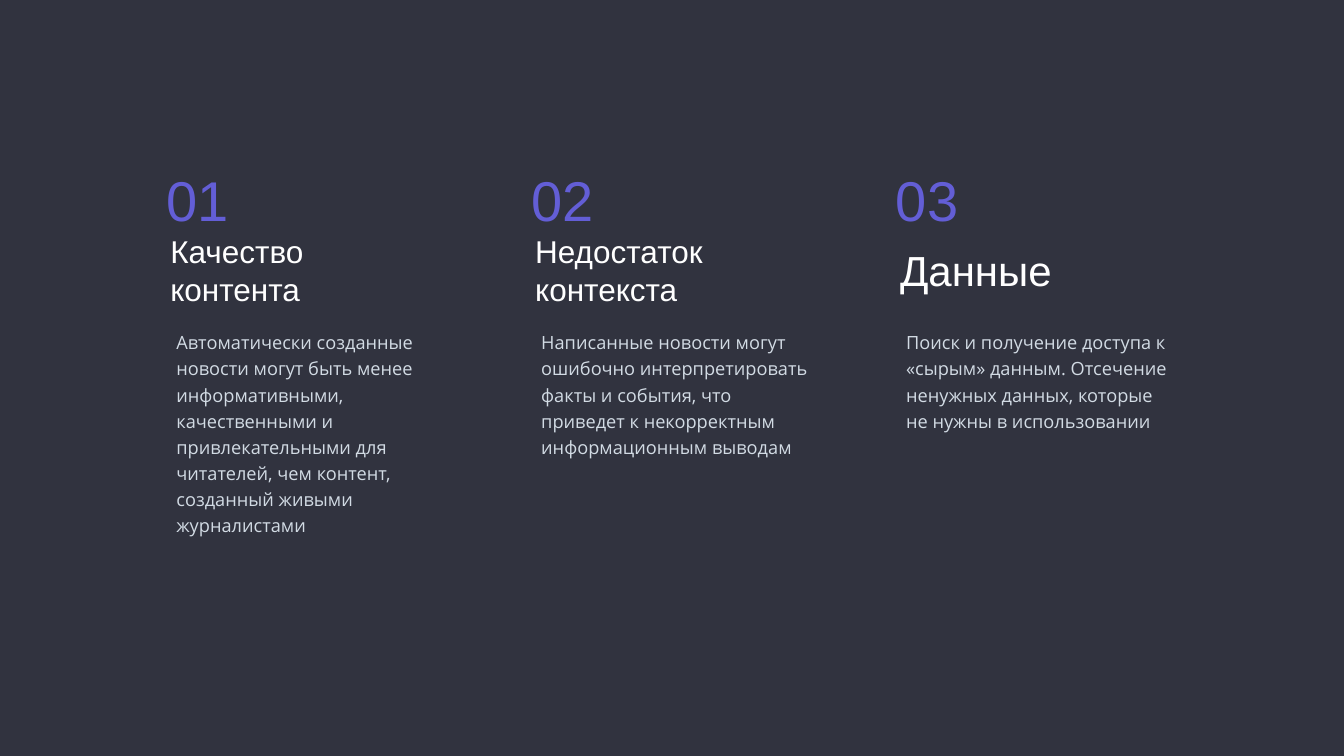
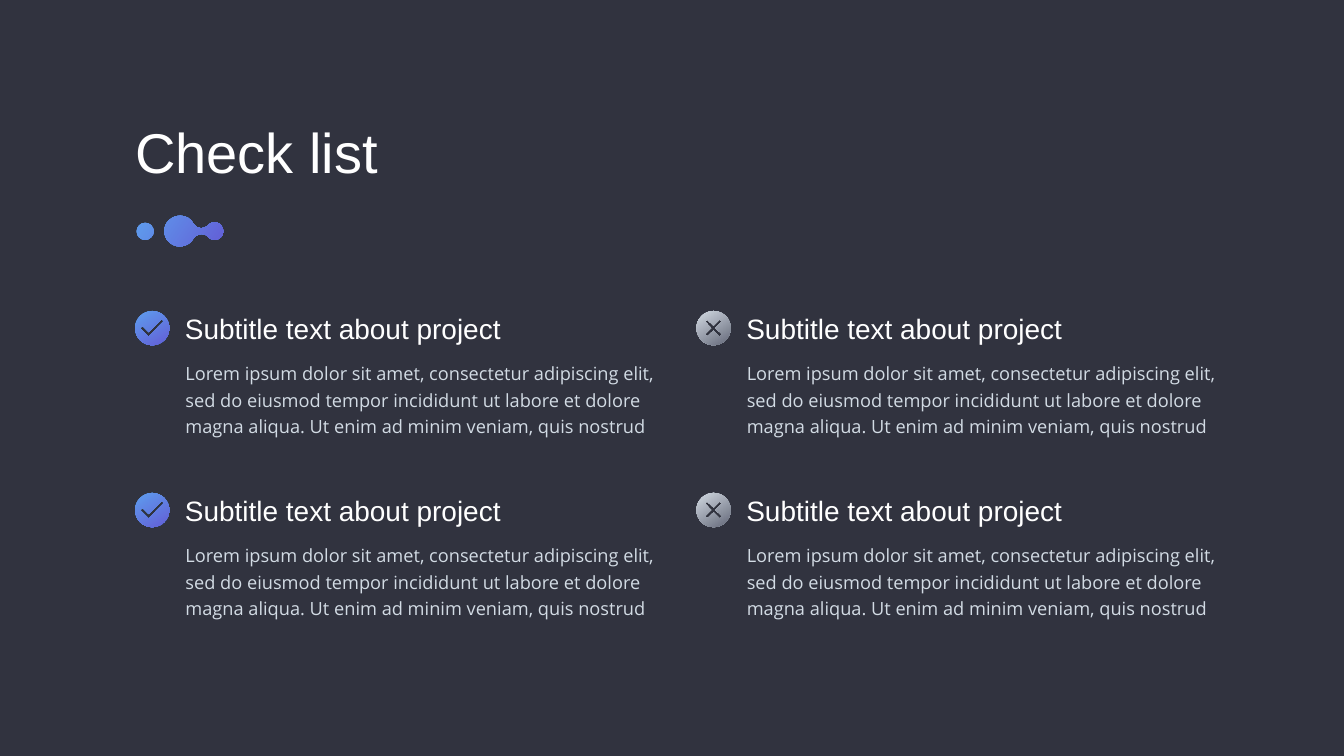
from lxml.etree import SubElement
from pptx import Presentation
from pptx.dml.color import RGBColor
from pptx.enum.shapes import MSO_SHAPE
from pptx.enum.text import MSO_ANCHOR, MSO_AUTO_SIZE
from pptx.oxml.ns import qn
from pptx.util import Inches, Pt

WIDE, HIGH = 26.67, 15
INK = {
    "back": "31333F", "white": "FFFFFF", "pale": "D2DBE4", "violet": "635ED6",
    "blue": "5E9EEE", "silver": "D4DBE4", "gray": "646979",
}
RISKS = [
    ("Качество контента", 45, 5.15, 4.28,
     "Автоматически созданные новости могут быть менее информативными, "
     "качественными и привлекательными для читателей, чем контент, "
     "созданный живыми журналистами"),
    ("Недостаток контекста", 45, 5.92, 2.7,
     "Написанные новости могут ошибочно интерпретировать факты и события, "
     "что приведет к некорректным информационным выводам"),
    ("Данные", 60, 5.49, 2.18,
     "Поиск и получение доступа к «сырым» данным. Отсечение ненужных данных, "
     "которые не нужны в использовании"),
]
TITLE = "Check list"
POINT = "Subtitle text about project"
LOREM = ("Lorem ipsum dolor sit amet, consectetur adipiscing elit, sed do eiusmod "
         "tempor incididunt ut labore et dolore magna aliqua. "
         "Ut enim ad minim veniam, quis nostrud")
TICK = [(-.07, .17), (-.24, 0), (-.19, -.04), (-.07, .08), (.19, -.18), (.23, -.14),
        (-.07, .17)]
CROSS = [(.17, .12), (.12, .17), (0, .05), (-.13, .17), (-.17, .12), (-.05, 0),
         (-.17, -.13), (-.13, -.17), (0, -.05), (.12, -.17), (.17, -.13), (.04, 0),
         (.17, .12)]
MARKS = [(TICK, ("blue", "violet")), (CROSS, ("silver", "gray"))]
BLOB = [(.87, 0),
        (.7, 0), (.55, .13), (.55, .3), (.55, .47), (.68, .6), (.85, .61),
        (.97, .61), (1.08, .55), (1.13, .45), (1.16, .41), (1.2, .38), (1.24, .37),
        (1.31, .35), (1.37, .37), (1.42, .42), (1.52, .54), (1.72, .47), (1.72, .31),
        (1.72, .14), (1.52, .07), (1.42, .19), (1.38, .23), (1.33, .25), (1.28, .25),
        (1.22, .25), (1.16, .21), (1.13, .16), (1.08, .06), (.98, 0), (.87, 0)]


def color(name):
    return RGBColor.from_string(INK[name])


def write(slide, text, left, top, width, height, size=26, ink="white",
          font="Arial", anchor=MSO_ANCHOR.MIDDLE, lead=None):
    box = slide.shapes.add_textbox(*map(Inches, (left, top, width, height)))
    frame = box.text_frame
    frame.word_wrap = True
    frame.auto_size = MSO_AUTO_SIZE.SHAPE_TO_FIT_TEXT
    frame.vertical_anchor = anchor
    frame.margin_left = frame.margin_right = Inches(.06)
    frame.margin_top = frame.margin_bottom = Inches(.06)
    para = frame.paragraphs[0]
    para.line_spacing = lead
    run = para.add_run()
    run.text = text
    run.font.size, run.font.name = Pt(size), font
    run.font.color.rgb = color(ink)


BODY = dict(ink="pale", font="Open Sans", anchor=MSO_ANCHOR.TOP, lead=1.2)


def ring(x, y, size):
    bend = .55
    dots = [(0, -1), (-bend, -1), (-1, -bend), (-1, 0), (-1, bend), (-bend, 1),
            (0, 1), (bend, 1), (1, bend), (1, 0), (1, -bend), (bend, -1), (0, -1)]
    return [(x + size * a, y + size * b) for a, b in dots]


def soften(shape, rounds):
    track = next(shape.element.iter(qn("a:path")))
    loop, held = -1, []
    for step in list(track):
        if step.tag == qn("a:moveTo"):
            loop += 1
        elif step.tag == qn("a:lnTo") and loop < rounds:
            held.append(step)
            if len(held) == 3:
                arc = SubElement(track, qn("a:cubicBezTo"))
                held[0].addprevious(arc)
                for old in held:
                    arc.append(old[0])
                    track.remove(old)
                held = []


def trace(slide, loops, left, top, inks, angle, rounds):
    pen = None
    for loop in loops:
        dots = [(Inches(left + x), Inches(top + y)) for x, y in loop]
        if pen is None:
            pen = slide.shapes.build_freeform(*dots[0])
        else:
            pen.move_to(*dots[0])
        pen.add_line_segments(dots[1:], close=True)
    shape = pen.convert_to_shape()
    soften(shape, rounds)
    shape.shadow.inherit = False
    shape.line.fill.background()
    shape.fill.gradient()
    shape.fill.gradient_angle = 360 - angle
    for stop, ink in zip(shape.fill.gradient_stops, inks):
        stop.color.rgb = color(ink)


def card(slide, left, top, width, height):
    shape = slide.shapes.add_shape(
        MSO_SHAPE.ROUNDED_RECTANGLE, *map(Inches, (left, top, width, height)))
    shape.adjustments[0] = .035
    shape.shadow.inherit = False
    shape.line.fill.background()
    shape.fill.solid()
    shape.fill.fore_color.rgb = color("back")


def start(deck):
    slide = deck.slides.add_slide(deck.slide_layouts[6])
    slide.background.fill.solid()
    slide.background.fill.fore_color.rgb = color("back")
    return slide


def risks(slide):
    for col, (head, size, width, height, text) in enumerate(RISKS):
        left = 3.24 + col * 7.24
        tall = .87 if size == 45 else 1.12
        if col:
            card(slide, left - .58, 2.67, 6.81, 9.67)
        write(slide, head, left + .08, 5.36 - tall / 2, width, tall, size=size)
        write(slide, text, left + .2, 6.43, 5.45, height, **BODY)
        write(slide, f"{col + 1:02}", left, 3.23, 2.37, 1.46, size=80, ink="violet")


def checks(slide):
    write(slide, TITLE, 2.62, 2.28, 13.18, 1.42, size=80)
    trace(slide, [BLOB, ring(.17, .31, .17)], 2.71, 4.28, ("blue", "violet"), 34, 2)
    for col, (mark, inks) in enumerate(MARKS):
        for row in range(2):
            left, top = 2.68 + col * 11.14, 6.17 + row * 3.61
            trace(slide, [ring(0, 0, .34), mark], left + .34, top + .34, inks, 57, 1)
            write(slide, POINT, left + .93, top - .03, 7.52, .76, size=40)
            write(slide, LOREM, left + .94, top + .88, 9.47, 1.81, **BODY)


def main():
    deck = Presentation()
    deck.slide_width, deck.slide_height = Inches(WIDE), Inches(HIGH)
    risks(start(deck))
    checks(start(deck))
    deck.save("out.pptx")


if __name__ == "__main__":
    main()
